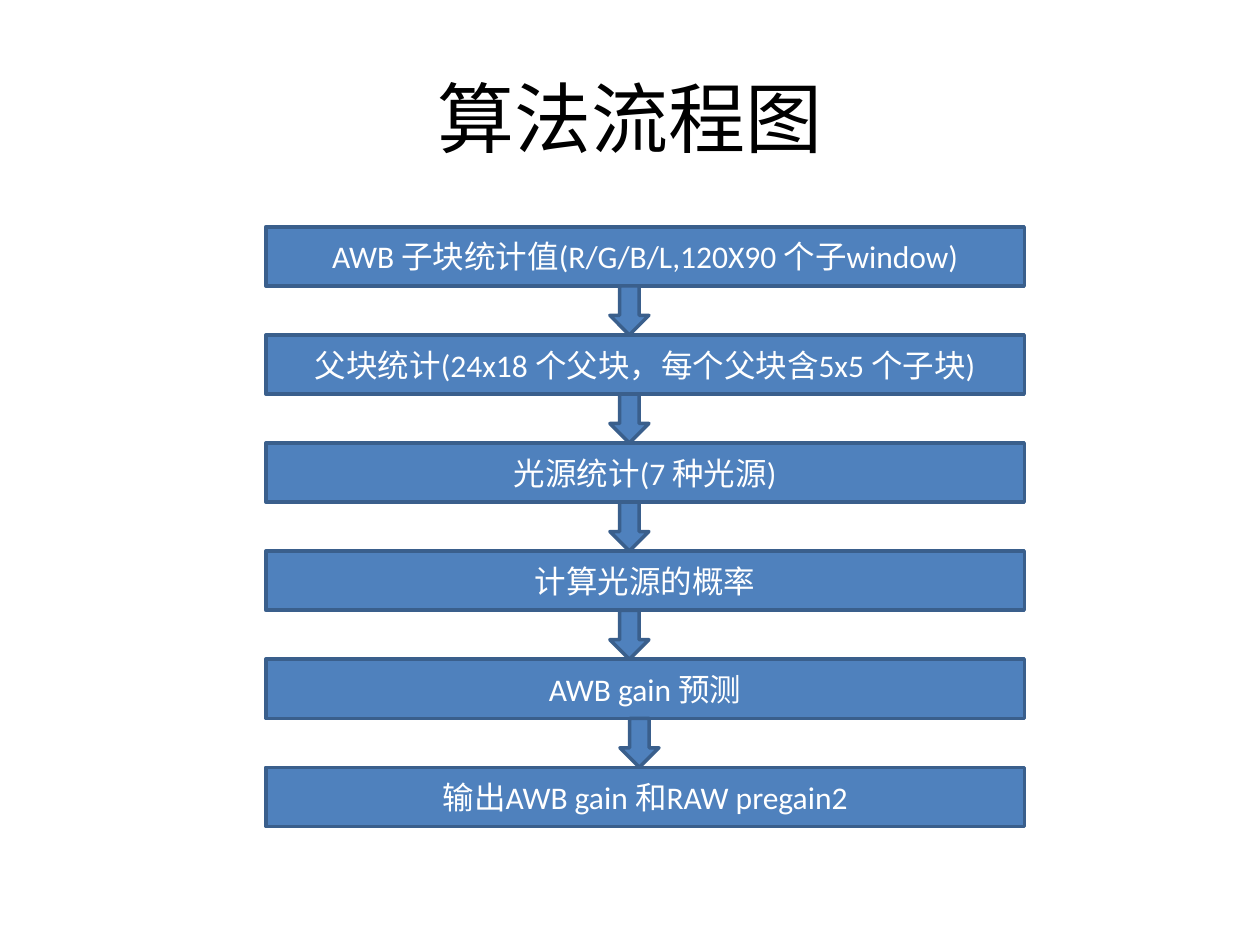
import pptx
import pptx.util
import pptx.dml.color
import pptx.enum.shapes
import pptx.enum.text

Inches = pptx.util.Inches
Pt = pptx.util.Pt
RGB = pptx.dml.color.RGBColor.from_string
SHAPES = pptx.enum.shapes.MSO_SHAPE

theme = {
    "font": "Calibri",
    "title_size": 44,
    "step_size": 18,
    "title": "000000",
    "step_text": "FFFFFF",
    "fill": "4F81BD",
    "line": "3A5F8C",
    "line_width": 2,
}

steps = [
    "AWB 子块统计值(R/G/B/L,120X90 个子window)",
    "父块统计(24x18 个父块，每个父块含5x5 个子块)",
    "光源统计(7 种光源)",
    "计算光源的概率",
    "AWB gain 预测",
    "输出AWB gain 和RAW pregain2",
]
step_left, step_top, step_width, step_height = 2.11, 1.8, 6.02, 0.47
pitch = 0.858
arrow_width = 0.31
arrow_lefts = [4.84, 4.84, 4.84, 4.84, 4.92]


def write(shape, text, size, color):
    frame = shape.text_frame
    frame.word_wrap = True
    frame.vertical_anchor = pptx.enum.text.MSO_ANCHOR.MIDDLE
    paragraph = frame.paragraphs[0]
    paragraph.text = text
    paragraph.alignment = pptx.enum.text.PP_ALIGN.CENTER
    paragraph.font.name = theme["font"]
    paragraph.font.size = Pt(theme[size])
    paragraph.font.color.rgb = RGB(theme[color])


def add_block(kind, left, top, width, height):
    block = slide.shapes.add_shape(
        kind, Inches(left), Inches(top), Inches(width), Inches(height))
    block.shadow.inherit = False
    block.fill.solid()
    block.fill.fore_color.rgb = RGB(theme["fill"])
    block.line.color.rgb = RGB(theme["line"])
    block.line.width = Pt(theme["line_width"])
    return block


deck = pptx.Presentation()
deck.slide_width = Inches(10)
deck.slide_height = Inches(7.5)
slide = deck.slides.add_slide(deck.slide_layouts[6])

title = slide.shapes.add_textbox(Inches(0.5), Inches(0.3), Inches(9), Inches(1.25))
write(title, "算法流程图", "title_size", "title")

for index, label in enumerate(steps):
    step = add_block(SHAPES.RECTANGLE, step_left, step_top + index * pitch,
                     step_width, step_height)
    write(step, label, "step_size", "step_text")

for index, arrow_left in enumerate(arrow_lefts):
    add_block(SHAPES.DOWN_ARROW, arrow_left, step_top + index * pitch + step_height,
              arrow_width, pitch - step_height)

deck.save("out.pptx")
